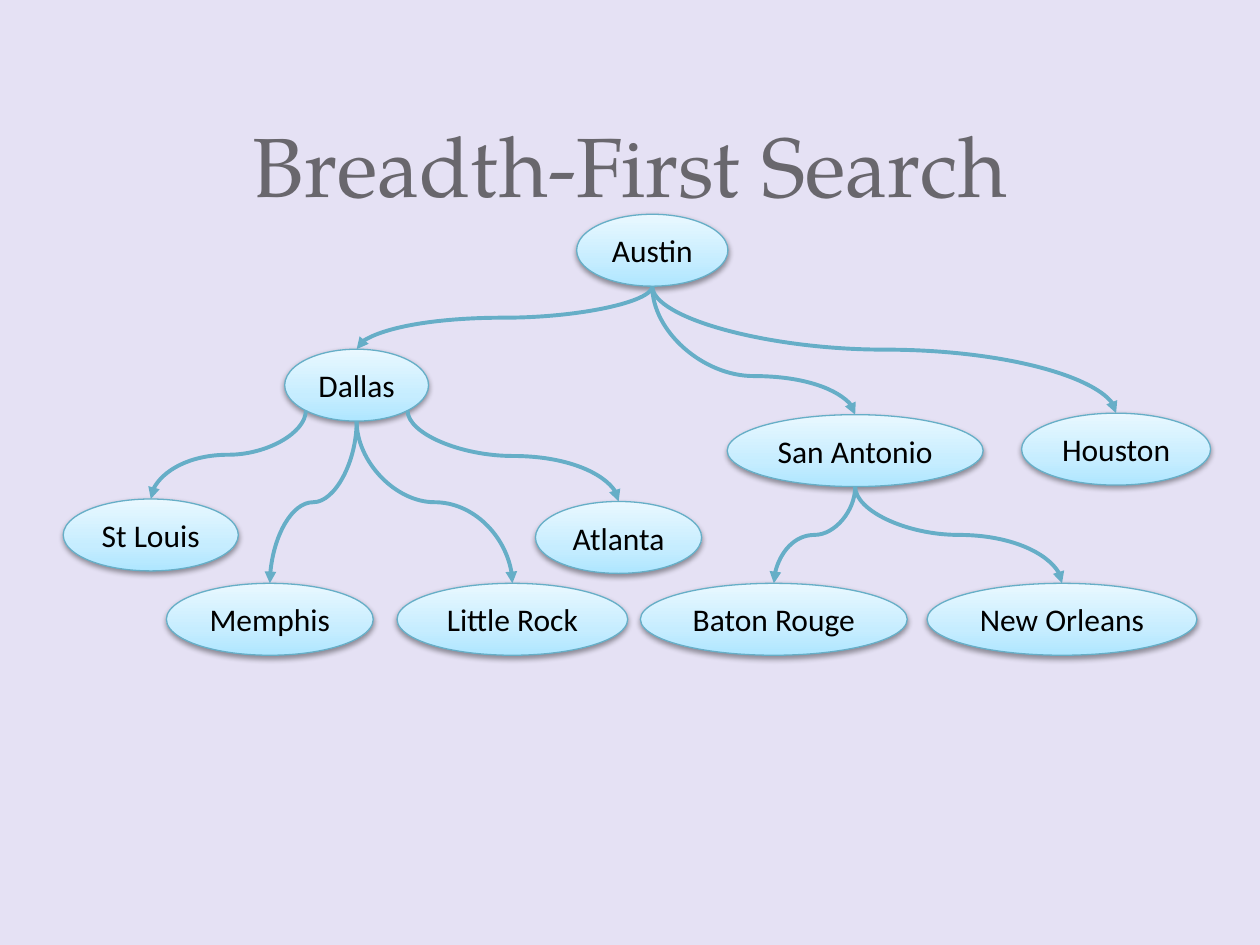
from copy import deepcopy
from dataclasses import dataclass
from math import sqrt

from pptx import Presentation
from pptx.dml.color import RGBColor
from pptx.enum.shapes import MSO_CONNECTOR, MSO_SHAPE
from pptx.enum.text import MSO_ANCHOR, MSO_AUTO_SIZE, PP_ALIGN
from pptx.oxml import parse_xml
from pptx.oxml.ns import nsdecls, qn
from pptx.util import Cm, Pt
from lxml import etree

CURVE = MSO_CONNECTOR.CURVE
ELLIPSE = MSO_SHAPE.OVAL
CENTER = PP_ALIGN.CENTER
MIDDLE, BOTTOM = MSO_ANCHOR.MIDDLE, MSO_ANCHOR.BOTTOM
FIT_SHAPE, NO_FIT = MSO_AUTO_SIZE.SHAPE_TO_FIT_TEXT, MSO_AUTO_SIZE.NONE


@dataclass(frozen=True)
class Theme:
    """Colours, fonts and type sizes of the slide."""
    background: str = "E5E1F4"
    title: str = "69676D"
    label: str = "000000"
    line: str = "66AEC7"
    gradient: tuple = ((0, "AEE6FF"), (0.35, "C6EDFF"), (1, "E9F8FF"))
    title_font: str = "TeX Gyre Pagella"
    label_font: str = "Calibri"
    title_size: int = 48
    label_size: int = 18


THEME = Theme()
NODE_H = 1.45
LEAF_TOP = 11.76
CITIES = {
    "Austin": (13.15, 4.32, 3.05),
    "Dallas": (7.19, 7.04, 2.9),
    "San Antonio": (17.24, 8.36, 5.16),
    "Houston": (22.5, 8.33, 3.81),
    "St Louis": (3.04, 10.06, 3.53),
    "Atlanta": (12.47, 10.11, 3.35),
    "Memphis": (5.44, LEAF_TOP, 4.17),
    "Little Rock": (10.33, LEAF_TOP, 4.65),
    "Baton Rouge": (15.6, LEAF_TOP, 5.38),
    "New Orleans": (21.41, LEAF_TOP, 5.44),
}
ROUTES = [
    ("Austin", "Dallas", 0, 0.5),
    ("Austin", "San Antonio", 0, 0.7),
    ("Austin", "Houston", 0, 0.5),
    ("Dallas", "St Louis", -1, 0.5),
    ("Dallas", "Memphis", 0, 0.5),
    ("Dallas", "Little Rock", 0, 0.5),
    ("Dallas", "Atlanta", 1, 0.5),
    ("San Antonio", "Baton Rouge", 0, 0.5),
    ("San Antonio", "New Orleans", 0, 0.5),
]


def rgb(value):
    """Turn a hex string into a colour."""
    return RGBColor.from_string(value)


def style_text(p, font, size, color):
    """Centre a paragraph and set its font."""
    p.alignment = CENTER
    p.font.name = font
    p.font.size = Pt(size)
    p.font.color.rgb = rgb(color)


def add_title(s, text):
    """Place and format the title placeholder."""
    sp = s.shapes.title
    sp.left, sp.top, sp.width, sp.height = Cm(1.27), Cm(0), Cm(22.86), Cm(4.45)
    tf = sp.text_frame
    tf.text = text
    tf.auto_size = NO_FIT
    tf.vertical_anchor = BOTTOM
    p = tf.paragraphs[0]
    p.line_spacing = Pt(58)
    style_text(p, THEME.title_font, THEME.title_size, THEME.title)


def fill_gradient(fill):
    """Apply the three-stop gradient, running from bottom to top."""
    fill.gradient()
    fill.gradient_angle = 90
    first = fill.gradient_stops[0]._gs
    first.addnext(deepcopy(first))
    for stop, (position, color) in zip(fill.gradient_stops, THEME.gradient):
        stop.position = position
        stop.color.rgb = rgb(color)


def add_shadow(sp):
    """Give a shape a soft shadow below it."""
    sp.shadow.inherit = False
    sp._element.spPr.find(qn("a:effectLst")).append(parse_xml(
        f'<a:outerShdw {nsdecls("a")} blurRad="40000" dist="20000" '
        'dir="5400000" rotWithShape="0"><a:srgbClr val="000000">'
        '<a:alpha val="38000"/></a:srgbClr></a:outerShdw>'))


def add_city(s, name):
    """Draw one city as a labelled ellipse."""
    x, top, width = CITIES[name]
    sp = s.shapes.add_shape(ELLIPSE, Cm(x - width / 2), Cm(top), Cm(width), Cm(NODE_H))
    fill_gradient(sp.fill)
    sp.line.color.rgb = rgb(THEME.line)
    sp.line.width = Pt(0.75)
    add_shadow(sp)
    tf = sp.text_frame
    tf.text = name
    tf.word_wrap = False
    tf.auto_size = FIT_SHAPE
    tf.vertical_anchor = MIDDLE
    style_text(tf.paragraphs[0], THEME.label_font, THEME.label_size, THEME.label)


def lower_point(name, side):
    """Return the bottom point of a city, or its lower left or right one."""
    x, top, width = CITIES[name]
    if side == 0:
        return x, top + NODE_H
    reach = sqrt(0.5) / 2
    return x + side * width * reach, top + NODE_H * (0.5 + reach)


def add_route(s, parent, child, side, bend):
    """Draw a curved arrow that leaves and arrives vertically."""
    x1, y1 = lower_point(parent, side)
    x2, y2 = CITIES[child][:2]
    rightward = x2 > x1
    mid_x, mid_y = (x1 + x2) / 2, (y1 + y2) / 2
    half_w = (y2 - y1) / 2 * (-1 if rightward else 1)
    half_h = abs(x2 - x1) / 2
    cxn = s.shapes.add_connector(CURVE, Cm(mid_x - half_w), Cm(mid_y - half_h),
                                 Cm(mid_x + half_w), Cm(mid_y + half_h))
    cxn.line.color.rgb = rgb(THEME.line)
    cxn.line.width = Pt(2.25)
    spPr = cxn._element.spPr
    spPr.find(qn("a:xfrm")).set("rot", "16200000" if rightward else "5400000")
    guides = spPr.find(qn("a:prstGeom")).find(qn("a:avLst"))
    etree.SubElement(guides, qn("a:gd"), name="adj1", fmla=f"val {round(bend * 100000)}")
    etree.SubElement(spPr.find(qn("a:ln")), qn("a:tailEnd"), type="triangle")
    etree.SubElement(spPr, qn("a:effectLst"))


def main():
    """Build the search tree slide."""
    prs = Presentation()
    prs.slide_width, prs.slide_height = Cm(25.4), Cm(19.05)
    s = prs.slides.add_slide(prs.slide_layouts[5])
    s.background.fill.solid()
    s.background.fill.fore_color.rgb = rgb(THEME.background)
    add_title(s, "Breadth-First Search")
    for name in CITIES:
        add_city(s, name)
    for route in ROUTES:
        add_route(s, *route)
    prs.save("out.pptx")


if __name__ == "__main__":
    main()
